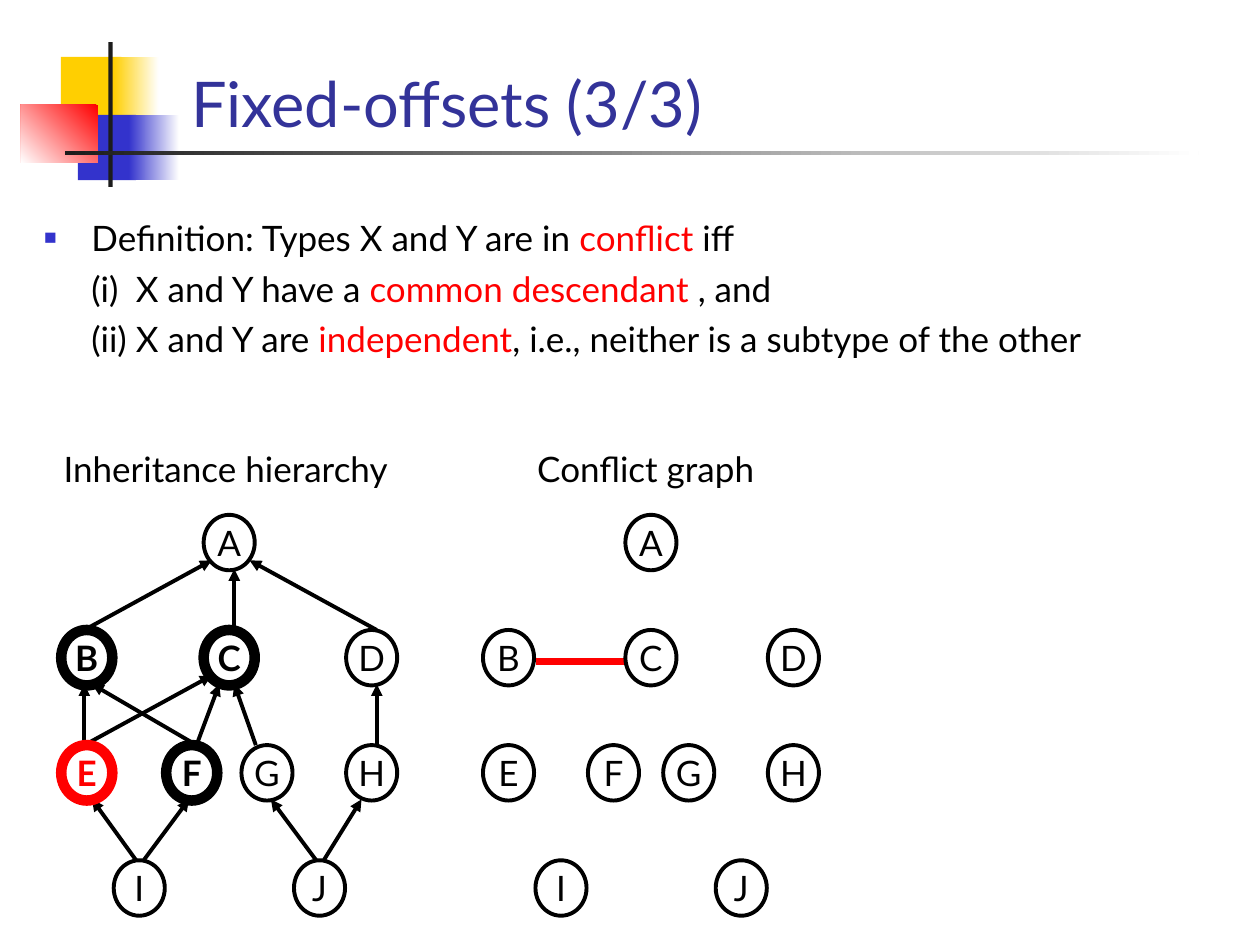
from lxml.etree import SubElement
from pptx import Presentation
from pptx.dml.color import RGBColor
from pptx.enum.shapes import MSO_CONNECTOR as Connector, MSO_SHAPE as Shape
from pptx.enum.text import MSO_ANCHOR as Anchor, MSO_AUTO_SIZE as AutoSize, PP_ALIGN as Align
from pptx.oxml.ns import qn
from pptx.util import Pt

FONT = "Lato"
BLACK, WHITE, RED = "000000", "FFFFFF", "FF0000"
YELLOW, BLUE, CHARCOAL = "FFCF01", "3333CC", "1C1C1C"

NODE_WIDTH, NODE_HEIGHT = 29.2, 31.7
FIRST_ROW, ROW_STEP = 294.2, 65.8
HIERARCHY_LEFT, CONFLICT_LEFT = 35, 276

# Node: (row, distance from the left edge of its diagram)
NODES = {
    "A": (0, 81.4),
    "B": (1, 0), "C": (1, 81.4), "D": (1, 162.8),
    "E": (2, 0), "F": (2, 60), "G": (2, 103), "H": (2, 162.8),
    "I": (3, 30), "J": (3, 133),
}
HIGHLIGHTS = {"B": BLACK, "C": BLACK, "F": BLACK, "E": RED}

# Arrow: (row of the subtype, start x, end x, end y below the top of the row above)
ARROWS = [
    (1, 48.2, 121, 26), (1, 133.9, 133.9, 31), (1, 215.3, 142.6, 26),
    (2, 48.2, 48.2, 31), (2, 48.2, 121, 26), (2, 112.3, 52.6, 31),
    (2, 112.3, 125.3, 31), (2, 146.2, 133.9, 31), (2, 215.3, 215.3, 31),
    (3, 77.8, 52.6, 31), (3, 82.1, 108, 31),
    (3, 180.7, 154.8, 31), (3, 185, 206.6, 31),
]

DEFINITION = [
    [("Definition: Types X and Y are in ", BLACK), ("conflict", RED), (" iff", BLACK)],
    [("(i)\tX and Y have a ", BLACK), ("common descendant ", RED), (", and", BLACK)],
    [("(ii)\tX and Y are ", BLACK), ("independent", RED),
     (", i.e., neither is a subtype of the other", BLACK)],
]


def rgb(color):
    return RGBColor.from_string(color)


def row_top(row):
    return FIRST_ROW + row * ROW_STEP


def write(para, text, size=20, color=BLACK, bold=False):
    span = para.add_run()
    span.text = text
    span.font.name = FONT
    span.font.size = Pt(size)
    span.font.bold = bold
    span.font.color.rgb = rgb(color)


def place(box, left, top, width, height):
    box.left, box.top, box.width, box.height = Pt(left), Pt(top), Pt(width), Pt(height)


def set_bullet(para, margin, indent, char=None):
    """Set the hanging indent and a small blue bullet, or none."""
    props = para._p.get_or_add_pPr()
    props.set("marL", str(Pt(margin)))
    props.set("indent", str(Pt(indent)))
    if char is None:
        SubElement(props, qn("a:buNone"))
        return
    SubElement(SubElement(props, qn("a:buClr")), qn("a:srgbClr"), val=BLUE)
    SubElement(props, qn("a:buSzPct"), val="60000")
    SubElement(props, qn("a:buChar"), char=char)


def add_block(page, left, top, width, height, color, fade_angle=None):
    """Add a borderless rectangle, fading to white if an angle is given."""
    block = page.shapes.add_shape(Shape.RECTANGLE, Pt(left), Pt(top), Pt(width), Pt(height))
    block.shadow.inherit = False
    block.line.fill.background()
    if fade_angle is None:
        block.fill.solid()
        block.fill.fore_color.rgb = rgb(color)
    else:
        block.fill.gradient()
        block.fill.gradient_angle = fade_angle
        for stop, shade in zip(block.fill.gradient_stops, (color, WHITE)):
            stop.color.rgb = rgb(shade)


def add_decoration(page):
    add_block(page, 34.8, 32.5, 34.6, 37.4, YELLOW)
    add_block(page, 64.8, 32.5, 25.9, 37.4, YELLOW, fade_angle=0)
    add_block(page, 44.6, 65.6, 33.1, 37.4, BLUE)
    add_block(page, 73.6, 65.6, 28.8, 37.4, BLUE, fade_angle=0)
    add_block(page, 12, 60, 43.9, 33.1, RED, fade_angle=225)
    add_block(page, 61.9, 24, 2.5, 82.8, CHARCOAL)
    add_block(page, 37, 86.4, 648, 2.2, CHARCOAL, fade_angle=0)


def fill_title(title, text):
    place(title, 102, 23.8, 594, 59.8)
    frame = title.text_frame
    frame.auto_size = AutoSize.NONE
    frame.vertical_anchor = Anchor.BOTTOM
    para = frame.paragraphs[0]
    para.alignment = Align.LEFT
    write(para, text, size=36, color="333399")


def fill_body(body, lines):
    place(body, 18, 120, 678, 120)
    frame = body.text_frame
    frame.auto_size = AutoSize.NONE
    for number, spans in enumerate(lines):
        para = frame.add_paragraph() if number else frame.paragraphs[0]
        if number:
            set_bullet(para, 52.5, -25.5)
        else:
            set_bullet(para, 27, -27, char="■")
        para.space_before = Pt(5 if number else 0)
        for text, color in spans:
            write(para, text, color=color)


def add_line(page, start, end, color=BLACK, width=2.25, arrow=False):
    line = page.shapes.add_connector(Connector.STRAIGHT, *map(Pt, start + end))
    line.line.color.rgb = rgb(color)
    line.line.width = Pt(width)
    if arrow:
        SubElement(line.line._get_or_add_ln(), qn("a:tailEnd"), type="triangle")
    SubElement(line._element.spPr, qn("a:effectLst"))


def add_node(page, name, left, top, color=BLACK, bold=False):
    node = page.shapes.add_shape(
        Shape.OVAL, Pt(left), Pt(top), Pt(NODE_WIDTH), Pt(NODE_HEIGHT))
    node.shadow.inherit = False
    node.fill.background()
    node.line.color.rgb = rgb(color)
    node.line.width = Pt(6 if bold else 2.25)
    frame = node.text_frame
    frame.word_wrap = False
    frame.vertical_anchor = Anchor.MIDDLE
    frame.margin_left = frame.margin_right = frame.margin_top = frame.margin_bottom = 0
    para = frame.paragraphs[0]
    para.alignment = Align.CENTER
    write(para, name, color=color, bold=bold)


def add_label(page, text, left):
    label = page.shapes.add_textbox(Pt(left), Pt(252), Pt(210), Pt(31.7))
    label.text_frame.word_wrap = True
    para = label.text_frame.paragraphs[0]
    para.alignment = Align.CENTER
    write(para, text)


def add_diagram(page, left, highlights):
    for name, (row, offset) in NODES.items():
        add_node(page, name, left + offset, row_top(row),
                 color=highlights.get(name, BLACK), bold=name in highlights)


def main():
    deck = Presentation()
    deck.slide_width, deck.slide_height = Pt(720), Pt(540)
    page = deck.slides.add_slide(deck.slide_layouts[1])
    add_decoration(page)
    fill_title(page.shapes.title, "Fixed-offsets (3/3)")
    fill_body(page.placeholders[1], DEFINITION)

    add_line(page, (306, 378), (356.4, 378), color=RED, width=4.5)
    for row, start_x, end_x, drop in ARROWS:
        add_line(page, (start_x, row_top(row)), (end_x, row_top(row - 1) + drop), arrow=True)
    add_diagram(page, HIERARCHY_LEFT, HIGHLIGHTS)
    add_label(page, "Inheritance hierarchy", 24)
    add_diagram(page, CONFLICT_LEFT, {})
    add_label(page, "Conflict graph", 264)
    deck.save("out.pptx")


if __name__ == "__main__":
    main()
